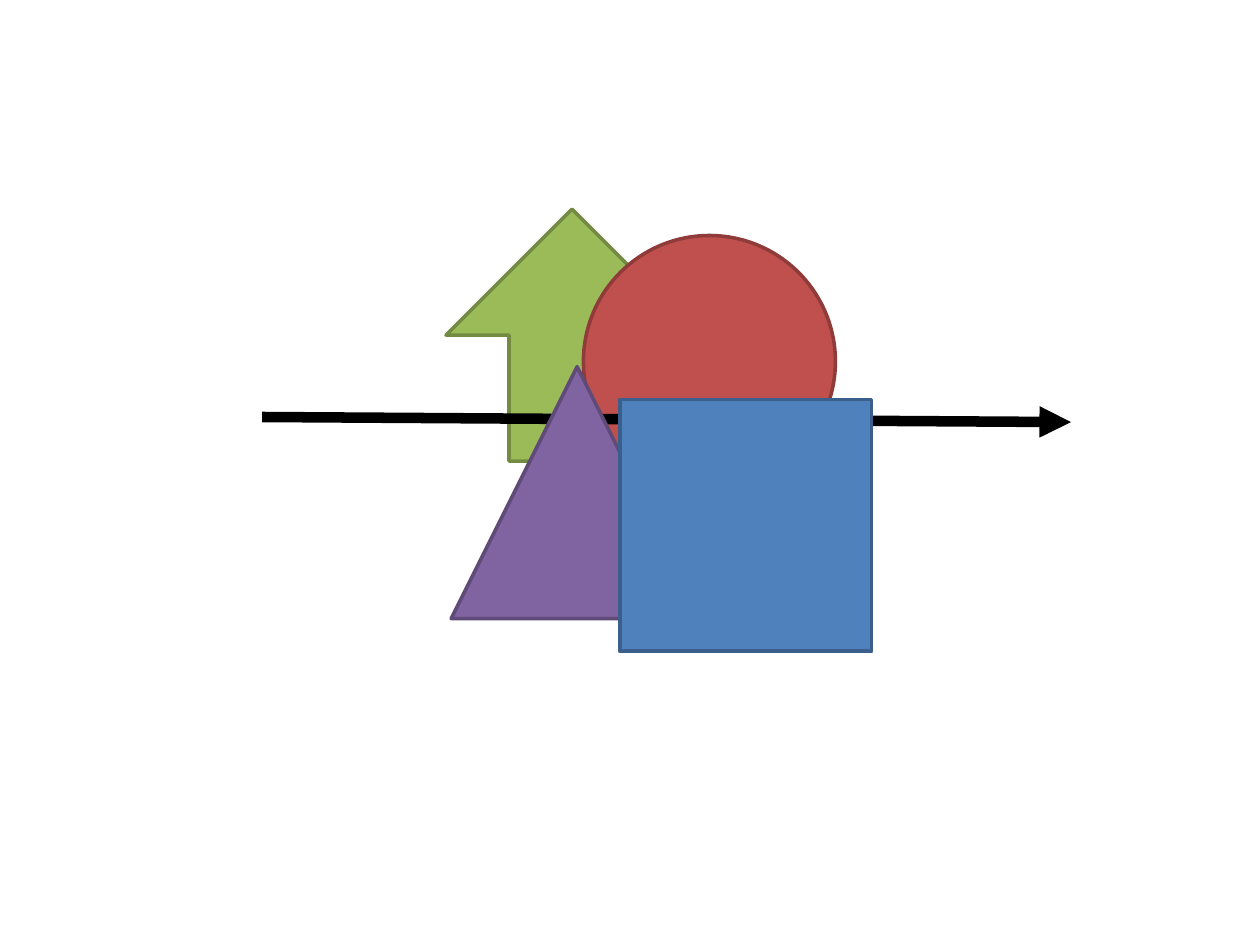
from dataclasses import dataclass

import pptx
import pptx.dml.color
import pptx.enum.shapes
import pptx.oxml
import pptx.oxml.ns
import pptx.util

Pt = pptx.util.Pt
Shape = pptx.enum.shapes.MSO_SHAPE


@dataclass(frozen=True)
class Theme:
    # Each pair is fill and outline.
    green: tuple = ("9BBB59", "738A42")
    red: tuple = ("C0504D", "8E3B39")
    purple: tuple = ("8064A2", "5F4A78")
    blue: tuple = ("4F81BD", "3A5F8C")
    black: str = "000000"
    outline_width: float = 2
    arrow_width: float = 6


theme = Theme()
SIDE = 144  # every figure fills a square of this side


def color(value):
    return pptx.dml.color.RGBColor.from_string(value)


def add_figure(page, kind, left, top, colors):
    figure = page.shapes.add_shape(kind, Pt(left), Pt(top), Pt(SIDE), Pt(SIDE))
    fill, outline = colors
    figure.shadow.inherit = False
    figure.fill.solid()
    figure.fill.fore_color.rgb = color(fill)
    figure.line.color.rgb = color(outline)
    figure.line.width = Pt(theme.outline_width)


deck = pptx.Presentation()
deck.slide_width, deck.slide_height = Pt(720), Pt(540)
page = deck.slides.add_slide(deck.slide_layouts[6])

# Figures behind the arrow
add_figure(page, Shape.UP_ARROW, 254.9, 119.5, theme.green)
add_figure(page, Shape.OVAL, 333.4, 134.6, theme.red)

# Arrow running through the stack
arrow = page.shapes.add_connector(
    pptx.enum.shapes.MSO_CONNECTOR.STRAIGHT, Pt(149.8), Pt(238.3), Pt(612), Pt(241.2)
)
arrow.line.color.rgb = color(theme.black)
arrow.line.width = Pt(theme.arrow_width)
head = pptx.oxml.parse_xml(f'<a:tailEnd {pptx.oxml.ns.nsdecls("a")} type="triangle"/>')
arrow.line._get_or_add_ln().append(head)
effects = pptx.oxml.parse_xml(f'<a:effectLst {pptx.oxml.ns.nsdecls("a")}/>')
arrow._element.spPr.append(effects)

# Figures in front of the arrow
add_figure(page, Shape.ISOSCELES_TRIANGLE, 257.8, 209.5, theme.purple)
add_figure(page, Shape.RECTANGLE, 354.2, 228.2, theme.blue)

deck.save("out.pptx")
